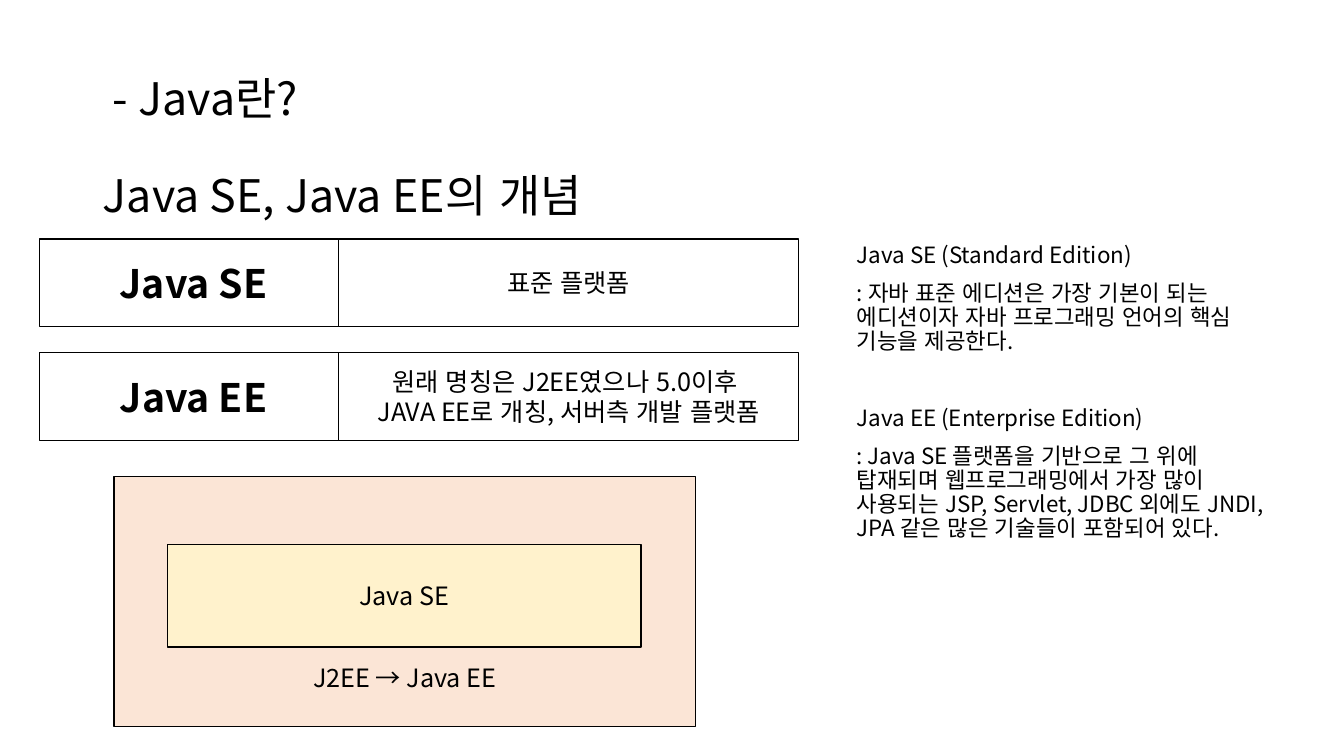
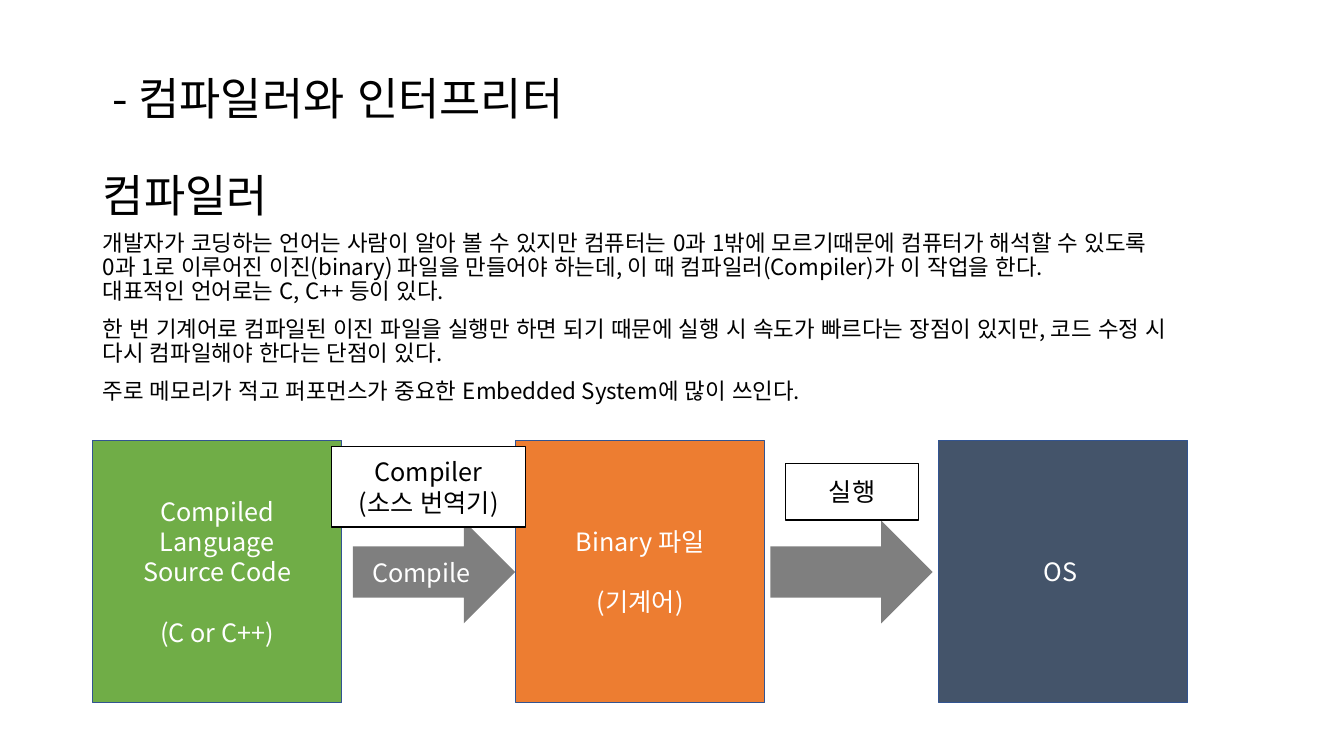
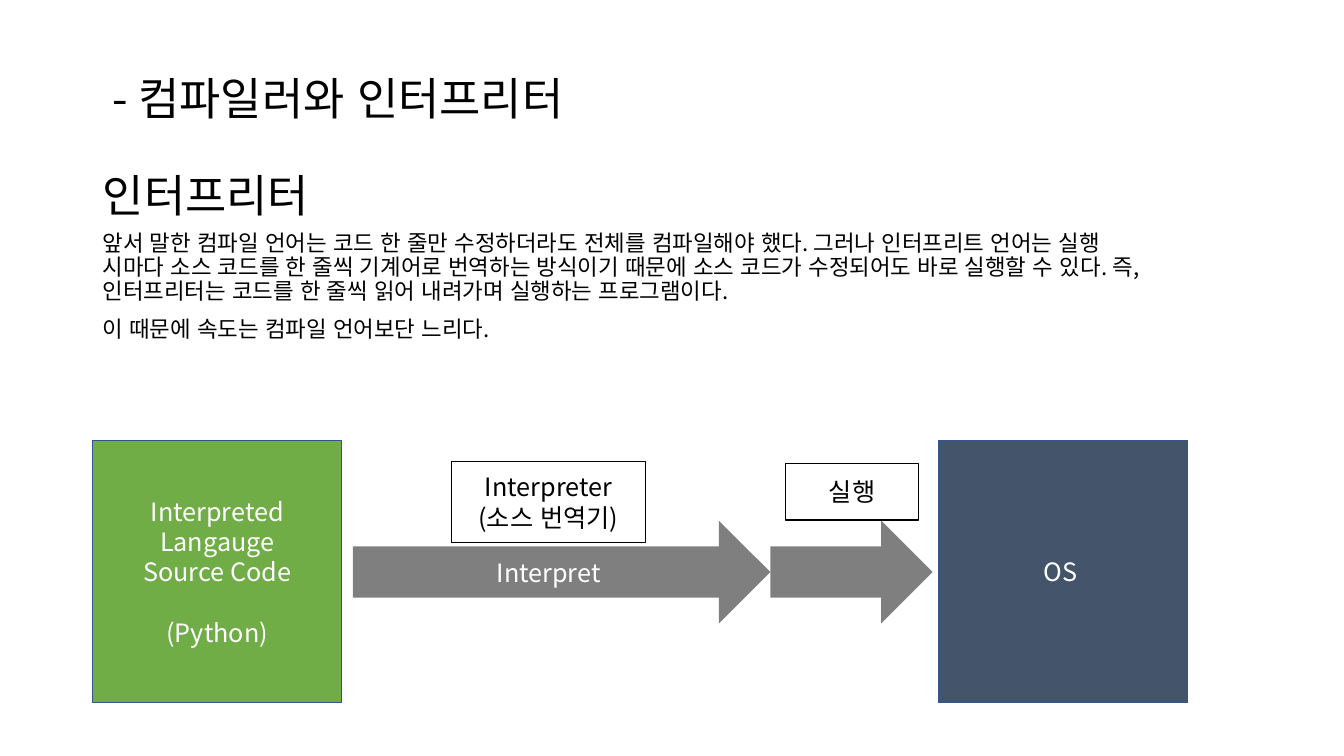
from dataclasses import dataclass

from lxml import etree
from pptx import Presentation
from pptx.dml.color import RGBColor
from pptx.enum.lang import MSO_LANGUAGE_ID
from pptx.enum.shapes import MSO_SHAPE
from pptx.enum.text import MSO_ANCHOR, MSO_AUTO_SIZE, PP_ALIGN
from pptx.oxml.ns import qn
from pptx.util import Inches, Pt

RECT, ARROW = MSO_SHAPE.RECTANGLE, MSO_SHAPE.RIGHT_ARROW
LEFT, CENTER = PP_ALIGN.LEFT, PP_ALIGN.CENTER
TOP, MIDDLE, BOTTOM = MSO_ANCHOR.TOP, MSO_ANCHOR.MIDDLE, MSO_ANCHOR.BOTTOM
NO_FIT = MSO_AUTO_SIZE.NONE
KOREAN = MSO_LANGUAGE_ID.KOREAN


@dataclass(frozen=True)
class Theme:
    """Colours, type sizes and spacing shared by all slides."""

    font: str = "Noto Sans CJK KR"
    black: str = "000000"
    white: str = "FFFFFF"
    peach: str = "FBE5D6"
    cream: str = "FFF2CC"
    green: str = "70AD47"
    orange: str = "ED7D31"
    navy: str = "44546A"
    edge: str = "325491"
    title: int = 32
    term: int = 28
    label: int = 18
    body: int = 16
    leading: float = 0.9
    line_height: float = 1.2


T = Theme()
MARGIN = 0.92
TITLE_BOX = (MARGIN, 0.5, 11.67, 1.75)
BODY_BOX = (MARGIN, 2.25, 10.86, 2.04)
STAGE_TOP, STAGE_W, STAGE_H, STAGE_STEP = 4.37, 2.47, 2.6, 4.195
ARROW_LEFT, ARROW_TOP, ARROW_W, ARROW_H, ARROW_STEP = 3.5, 5.165, 1.61, 1.02, 4.14
TERM_LEFT, TERM_TOP, TERM_W, MEANING_W, TERM_H, TERM_STEP = 0.39, 2.37, 2.97, 4.56, 0.87, 1.13


def apply(target, values):
    """Set every attribute named in a dict of format values."""
    for name, value in values.items():
        setattr(target, name, value)


def add_run(p, text, size, color, bold):
    """Add one formatted Korean run to a paragraph."""
    r = p.add_run()
    r.text = text
    apply(r.font, {"name": T.font, "size": Pt(size), "bold": bold, "language_id": KOREAN})
    r.font.color.rgb = RGBColor.from_string(color)
    etree.SubElement(r._r.get_or_add_rPr(), qn("a:ea"), typeface=T.font)


def write(tf, lines, size, color=T.black, bold=False, align=CENTER, anchor=MIDDLE,
          leading=1.0, before=0, gaps=None):
    """Fill a text frame with one paragraph per line; gaps overrides space before."""
    apply(tf, {"word_wrap": True, "auto_size": NO_FIT, "vertical_anchor": anchor})
    for i, line in enumerate(lines):
        p = tf.paragraphs[0] if i == 0 else tf.add_paragraph()
        space = (gaps or {}).get(i, before)
        apply(p, {"alignment": align, "line_spacing": leading, "space_before": Pt(space)})
        for j, part in enumerate(line.split("\n")):
            if j:
                p.add_line_break()
            add_run(p, part, size, color, bold)


def add_title(prs, topic, heading):
    """Add a title-only slide whose title holds a topic and a heading."""
    s = prs.slides.add_slide(prs.slide_layouts[5])
    sp = s.shapes.title
    apply(sp, dict(zip(("left", "top", "width", "height"), map(Inches, TITLE_BOX))))
    gap = T.title * T.line_height * T.leading
    write(sp.text_frame, [f" - {topic}", heading], T.title, align=LEFT, anchor=BOTTOM,
          leading=T.leading, gaps={1: gap})
    return s


def add_body(s, box, lines, gaps=None):
    """Add running text, with an optional wider gap above some paragraphs."""
    sp = s.shapes.add_textbox(*map(Inches, box))
    write(sp.text_frame, lines, T.body, align=LEFT, anchor=TOP, leading=T.leading,
          before=10, gaps={0: 0, **(gaps or {})})


def add_box(s, box, lines, fill=T.white, line=T.black, kind=RECT, size=T.label, **style):
    """Add a filled shape with centred text and an optional outline."""
    sp = s.shapes.add_shape(kind, *map(Inches, box))
    sp.shadow.inherit = False
    sp.fill.solid()
    sp.fill.fore_color.rgb = RGBColor.from_string(fill)
    if line:
        sp.line.color.rgb = RGBColor.from_string(line)
        sp.line.width = Pt(1)
    else:
        sp.line.fill.background()
    write(sp.text_frame, lines, size, **style)
    return sp


def add_stage(s, column, lines, fill, blank_before=None):
    """Add a flow stage, leaving one line free above a given paragraph."""
    gaps = {blank_before: T.label * T.line_height}
    box = (MARGIN + column * STAGE_STEP, STAGE_TOP, STAGE_W, STAGE_H)
    add_box(s, box, lines, fill, T.edge, color=T.white, gaps=gaps)


def add_arrow(s, column, lines=(), width=ARROW_W):
    """Add a half-transparent arrow after a stage column."""
    box = (ARROW_LEFT + column * ARROW_STEP, ARROW_TOP, width, ARROW_H)
    sp = add_box(s, box, lines, T.black, None, ARROW, color=T.white)
    color = sp._element.spPr.find(qn("a:solidFill")).find(qn("a:srgbClr"))
    etree.SubElement(color, qn("a:alpha"), val="50000")


def add_flow(s, source, blank_before, step, translator, label_at, binary=None):
    """Add the flow from source code through translation to execution."""
    add_stage(s, 2, ["OS "], T.navy)
    add_stage(s, 0, source, T.green, blank_before)
    if binary:
        add_stage(s, 1, binary, T.orange, 1)
    add_arrow(s, 0, [step], ARROW_W if binary else ARROW_STEP)
    add_arrow(s, 1)
    add_box(s, (7.79, 4.6, 1.32, 0.56), ["실행"])
    add_box(s, (*label_at, 1.92, 0.8), [translator, "(소스 번역기)"])


def editions_slide(prs):
    """Explain Java SE and Java EE."""
    s = add_title(prs, "Java란?", "Java SE, Java EE의 개념")
    outer = add_box(s, (1.13, 4.73, 5.77, 2.48), ["J2EE → Java EE"], T.peach, anchor=BOTTOM)
    outer.text_frame.margin_bottom = Inches(0.34)
    add_box(s, (1.66, 5.4, 4.7, 1.02), ["Java SE"], T.cream)
    terms = [
        (" Java SE", ["표준 플랫폼"]),
        (" Java EE", ["원래 명칭은 J2EE였으나 5.0이후 ", "JAVA EE로 개칭, 서버측 개발 플랫폼"]),
    ]
    for row, (term, meaning) in enumerate(terms):
        top = TERM_TOP + row * TERM_STEP
        add_box(s, (TERM_LEFT, top, TERM_W, TERM_H), [term], size=T.term, bold=True)
        add_box(s, (TERM_LEFT + TERM_W, top, MEANING_W, TERM_H), meaning)
    add_body(s, (8.4, TERM_TOP, 4.3, 4.17), [
        "Java SE (Standard Edition)",
        ": 자바 표준 에디션은 가장 기본이 되는 에디션이자 자바 프로그래밍 언어의 핵심 기능을 제공한다.",
        "Java EE (Enterprise Edition)",
        ": Java SE 플랫폼을 기반으로 그 위에 탑재되며 웹프로그래밍에서 가장 많이 사용되는 "
        "JSP, Servlet, JDBC 외에도 JNDI, JPA 같은 많은 기술들이 포함되어 있다.",
    ], gaps={2: 20 + T.body * T.line_height * T.leading})


def compiler_slide(prs):
    """Explain compilers."""
    s = add_title(prs, "컴파일러와 인터프리터", "컴파일러")
    add_body(s, BODY_BOX, [
        "개발자가 코딩하는 언어는 사람이 알아 볼 수 있지만 컴퓨터는 0과 1밖에 모르기때문에 "
        "컴퓨터가 해석할 수 있도록\n0과 1로 이루어진 이진(binary) 파일을 만들어야 하는데, "
        "이 때 컴파일러(Compiler)가 이 작업을 한다.\n대표적인 언어로는 C, C++ 등이 있다.",
        "한 번 기계어로 컴파일된 이진 파일을 실행만 하면 되기 때문에 실행 시 속도가 빠르다는 "
        "장점이 있지만, 코드 수정 시\n다시 컴파일해야 한다는 단점이 있다.",
        "주로 메모리가 적고 퍼포먼스가 중요한 Embedded System에 많이 쓰인다.",
    ])
    add_flow(s, ["Compiled Language", "Source Code", "(C or C++)"], 2, "Compile",
             "Compiler", (3.29, 4.43), ["Binary 파일", "(기계어)"])


def interpreter_slide(prs):
    """Explain interpreters."""
    s = add_title(prs, "컴파일러와 인터프리터", "인터프리터")
    add_body(s, BODY_BOX, [
        "앞서 말한 컴파일 언어는 코드 한 줄만 수정하더라도 전체를 컴파일해야 했다. "
        "그러나 인터프리트 언어는 실행\n시마다 소스 코드를 한 줄씩 기계어로 번역하는 방식이기 "
        "때문에 소스 코드가 수정되어도 바로 실행할 수 있다. 즉,\n인터프리터는 코드를 한 줄씩 "
        "읽어 내려가며 실행하는 프로그램이다.",
        "이 때문에 속도는 컴파일 언어보단 느리다.",
    ])
    add_flow(s, ["Interpreted", "Langauge", "Source Code", "(Python)"], 3, "Interpret",
             "Interpreter", (4.48, 4.58))


def main():
    """Build and save the presentation."""
    prs = Presentation()
    apply(prs, {"slide_width": Inches(13.33), "slide_height": Inches(7.5)})
    for build in (editions_slide, compiler_slide, interpreter_slide):
        build(prs)
    prs.save("out.pptx")


if __name__ == "__main__":
    main()
